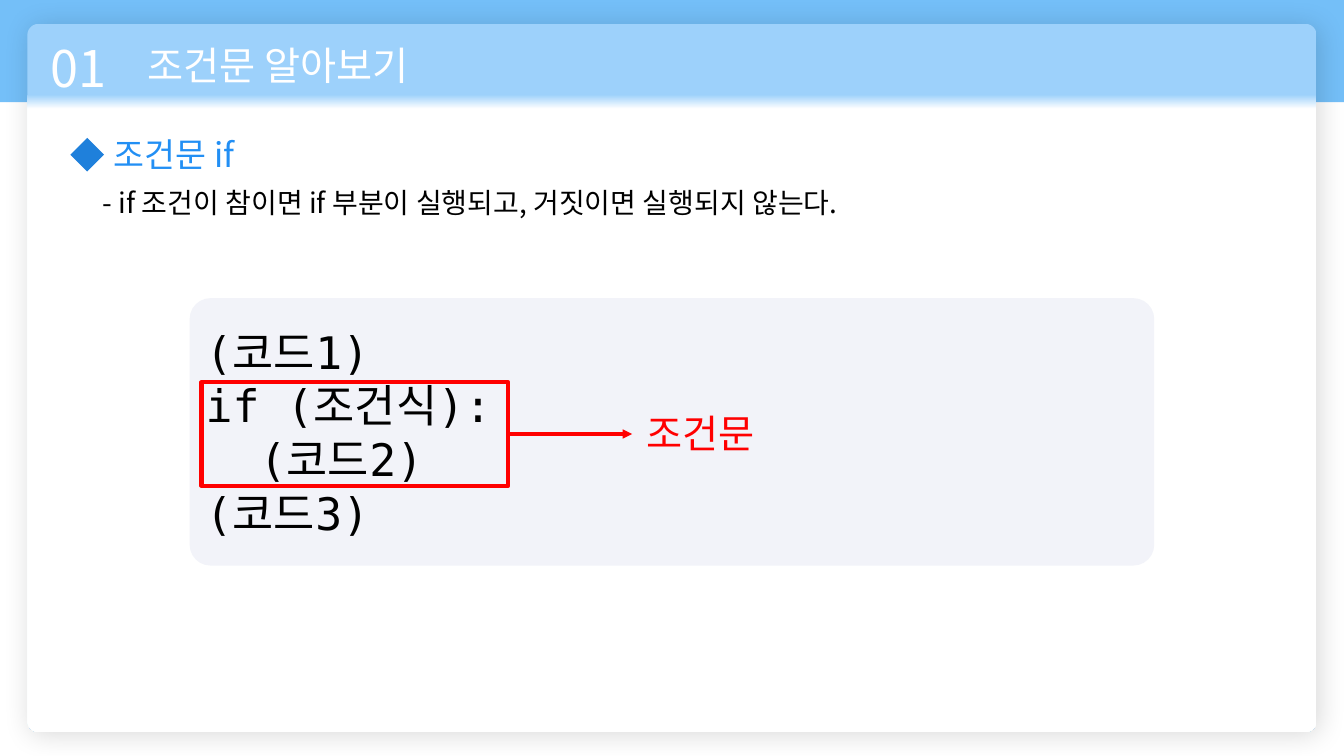
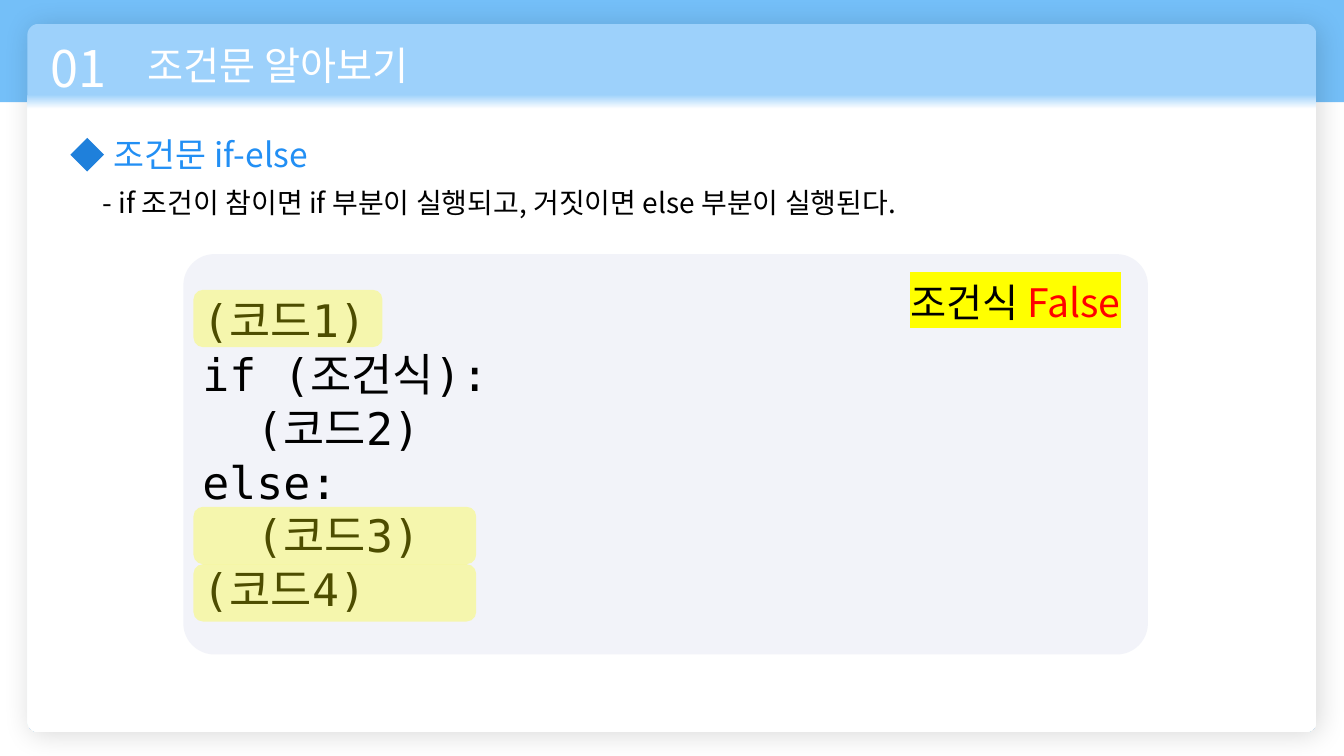
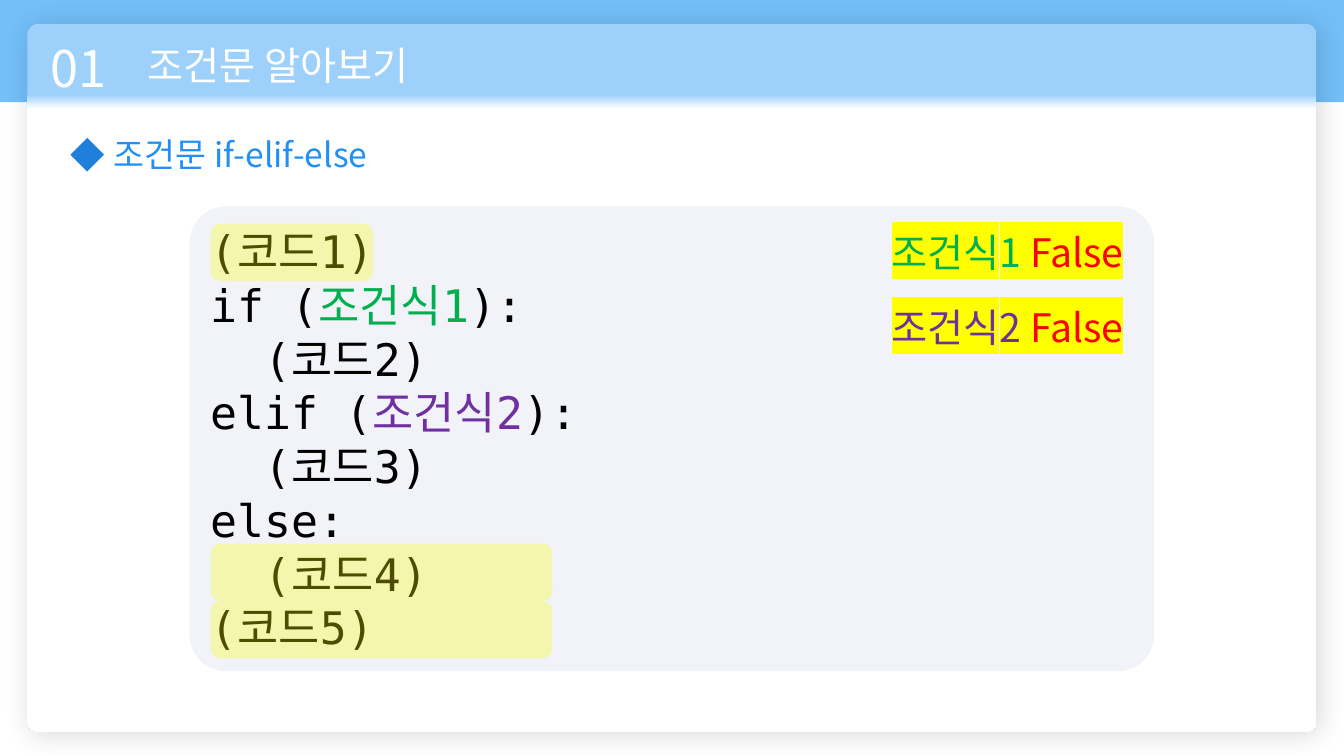
import pptx
import pptx.util
import pptx.dml.color
import pptx.enum.shapes
import pptx.enum.text
import pptx.oxml
import pptx.oxml.ns

Pt = pptx.util.Pt
SHAPE = pptx.enum.shapes.MSO_SHAPE
ALIGN = pptx.enum.text.PP_ALIGN
ANCHOR = pptx.enum.text.MSO_ANCHOR
qn = pptx.oxml.ns.qn

COLORS = {
    "band": "74BFF8",
    "header": "9DD1FB",
    "white": "FFFFFF",
    "heading": "228FF4",
    "diamond": "1F80DB",
    "black": "000000",
    "panel": "F2F3F9",
    "red": "FF0000",
    "yellow": "FFFF00",
    "green": "00B050",
    "purple": "7030A0",
}
SANS = "Noto Sans CJK KR"
MONO = "DejaVu Sans Mono"
PANEL_WIDTH = 689
ROW_HEIGHT = 41


def rgb(name):
    return pptx.dml.color.RGBColor.from_string(COLORS[name])


def add_xml(parent, tag, body="", **attrs):
    listed = " ".join(f'{k}="{v}"' for k, v in attrs.items())
    xml = f'<a:{tag} {pptx.oxml.ns.nsdecls("a")} {listed}>{body}</a:{tag}>'
    el = pptx.oxml.parse_xml(xml)
    parent.append(el)
    return el


def add_shape(slide, kind, box, fill=None, adj=None):
    sp = slide.shapes.add_shape(kind, *map(Pt, box))
    sp.shadow.inherit = False
    sp.line.fill.background()
    if fill:
        sp.fill.solid()
        sp.fill.fore_color.rgb = rgb(fill)
    else:
        sp.fill.background()
    if adj is not None:
        sp.adjustments[0] = adj
    return sp


def write(tf, lines, size, color, font=SANS, align=ALIGN.LEFT, highlight=None):
    tf.word_wrap = True
    for i, line in enumerate(lines):
        p = tf.paragraphs[0] if i == 0 else tf.add_paragraph()
        p.alignment = align
        p.font.size = Pt(size)
        p.font.name = font
        p.font.color.rgb = rgb(color)
        add_xml(p._p.pPr.find(qn("a:defRPr")), "ea", typeface=font)
        for text, run_color in [(line, None)] if isinstance(line, str) else line:
            r = p.add_run()
            r.text = text
            if run_color:
                r.font.color.rgb = rgb(run_color)
            if highlight:
                add_xml(r.font._element, "highlight",
                        f'<a:srgbClr val="{COLORS[highlight]}"/>')


def add_text(slide, box, line, size, color, **style):
    sp = slide.shapes.add_textbox(*map(Pt, box))
    write(sp.text_frame, [line], size, color, **style)
    sp.text_frame.auto_size = pptx.enum.text.MSO_AUTO_SIZE.SHAPE_TO_FIT_TEXT


def add_card(slide, box):
    card = add_shape(slide, SHAPE.ROUNDED_RECTANGLE, box, "white", 0.016)
    card.fill.gradient()
    card.fill.gradient_angle = 270
    for stop, position, color in zip(card.fill.gradient_stops, (0.1, 0.12), ("header", "white")):
        stop.position = position
        stop.color.rgb = rgb(color)
    add_xml(card.element.spPr.find(qn("a:effectLst")), "outerShdw",
            f'<a:srgbClr val="{COLORS["black"]}"><a:alpha val="14000"/></a:srgbClr>',
            blurRad=Pt(20), dist=Pt(3), dir=45 * 60000, algn="tl", rotWithShape=0)


def add_title(slide, box, text):
    title = slide.shapes.title
    title.element.getparent().append(title.element)
    title.left, title.top, title.width, title.height = map(Pt, box)
    title.text_frame.vertical_anchor = ANCHOR.TOP
    write(title.text_frame, [text], 28, "white")


def add_heading(slide, x, y, text, note=None):
    add_text(slide, (x + 24, y, 238, 36), text, 24, "heading")
    add_shape(slide, SHAPE.DIAMOND, (x, y + 6.5, 24, 24), "diamond")
    if note:
        add_text(slide, (x + 16, y + 36.7, 581, 32), note, 20, "black")


def add_panel(slide, x, y, height, lines):
    panel = add_shape(slide, SHAPE.ROUNDED_RECTANGLE, (x, y, PANEL_WIDTH, height), "panel", 0.078)
    panel.text_frame.vertical_anchor = ANCHOR.MIDDLE
    write(panel.text_frame, lines, 32, "black", font=MONO)


def add_marks(slide, x, y, marks):
    for dy, width in marks:
        mark = add_shape(slide, SHAPE.ROUNDED_RECTANGLE, (x, y + dy, width, ROW_HEIGHT), "yellow")
        add_xml(mark.element.spPr.find(qn("a:solidFill"))[0], "alpha", val=30000)


def add_results(slide, x, y, results):
    for i, result in enumerate(results):
        add_text(slide, (x, y + i * 53.5, 271, ROW_HEIGHT), result, 28, "black",
                 align=ALIGN.RIGHT, highlight="yellow")


def add_callout(slide, x, y, width, height, label):
    frame = add_shape(slide, SHAPE.RECTANGLE, (x, y, width, height))
    frame.line.color.rgb = rgb("red")
    frame.line.width = Pt(3)
    mid = y + height / 2
    tip = x + width + 88.5
    arrow = slide.shapes.add_connector(pptx.enum.shapes.MSO_CONNECTOR.STRAIGHT,
                                       Pt(x + width), Pt(mid), Pt(tip), Pt(mid))
    arrow.begin_connect(frame, 3)
    arrow.line.color.rgb = rgb("red")
    arrow.line.width = Pt(2.25)
    add_xml(arrow.element.spPr.find(qn("a:ln")), "tailEnd", type="triangle")
    add_xml(arrow.element.spPr, "effectLst")
    add_text(slide, (tip + 3.5, mid - 21, 108, ROW_HEIGHT), label, 28, "red")


def add_lesson(prs, heading, note=None):
    slide = prs.slides.add_slide(prs.slide_layouts[5])
    add_shape(slide, SHAPE.RECTANGLE, (0, 0, 960, 73), "band")
    add_card(slide, (19.5, 17, 921, 506))
    add_text(slide, (29, 23, 73, 51), "01", 36, "white")
    add_title(slide, (98, 26, 353, 41), "조건문 알아보기")
    add_heading(slide, 50.3, 92, heading, note)
    return slide


def build_if(prs):
    slide = add_lesson(prs, "조건문 if",
                       "- if 조건이 참이면 if 부분이 실행되고, 거짓이면 실행되지 않는다.")
    x, y = 135.5, 213
    add_panel(slide, x, y, 191, ["(코드1)", "if (조건식):", "  (코드2)", "(코드3)"])
    add_callout(slide, x + 8.5, y + 60, 219, 74, "조건문")


def build_if_else(prs):
    slide = add_lesson(prs, "조건문 if-else",
                       "- if 조건이 참이면 if 부분이 실행되고, 거짓이면 else 부분이 실행된다.")
    x, y = 131, 181.5
    add_panel(slide, x, y, 286,
              ["(코드1)", "if (조건식):", "  (코드2)", "else:", "  (코드3)", "(코드4)"])
    add_results(slide, x + 405.5, y + 13.5, [[("조건식 ", "black"), ("False", "red")]])
    add_marks(slide, x + 7.2, y + 25.5, [(0, 135), (155, 202), (155 + ROW_HEIGHT, 202)])


def build_if_elif_else(prs):
    slide = add_lesson(prs, "조건문 if-elif-else")
    x, y = 135.5, 147.5
    conditions = [("조건식1", "green"), ("조건식2", "purple")]
    first, second = conditions
    add_panel(slide, x, y, 332,
              ["(코드1)", [("if (", None), first, ("):", None)], "  (코드2)",
               [("elif (", None), second, ("):", None)], "  (코드3)",
               "else:", "  (코드4)", "(코드5)"])
    add_results(slide, x + 403, y + 12,
                [[condition, (" ", "black"), ("False", "red")] for condition in conditions])
    add_marks(slide, x + 15, y + 12.3, [(0, 116), (228.5, 244), (228.5 + ROW_HEIGHT, 244)])


def main():
    prs = pptx.Presentation()
    prs.slide_width, prs.slide_height = Pt(960), Pt(540)
    build_if(prs)
    build_if_else(prs)
    build_if_elif_else(prs)
    prs.save("out.pptx")


if __name__ == "__main__":
    main()
